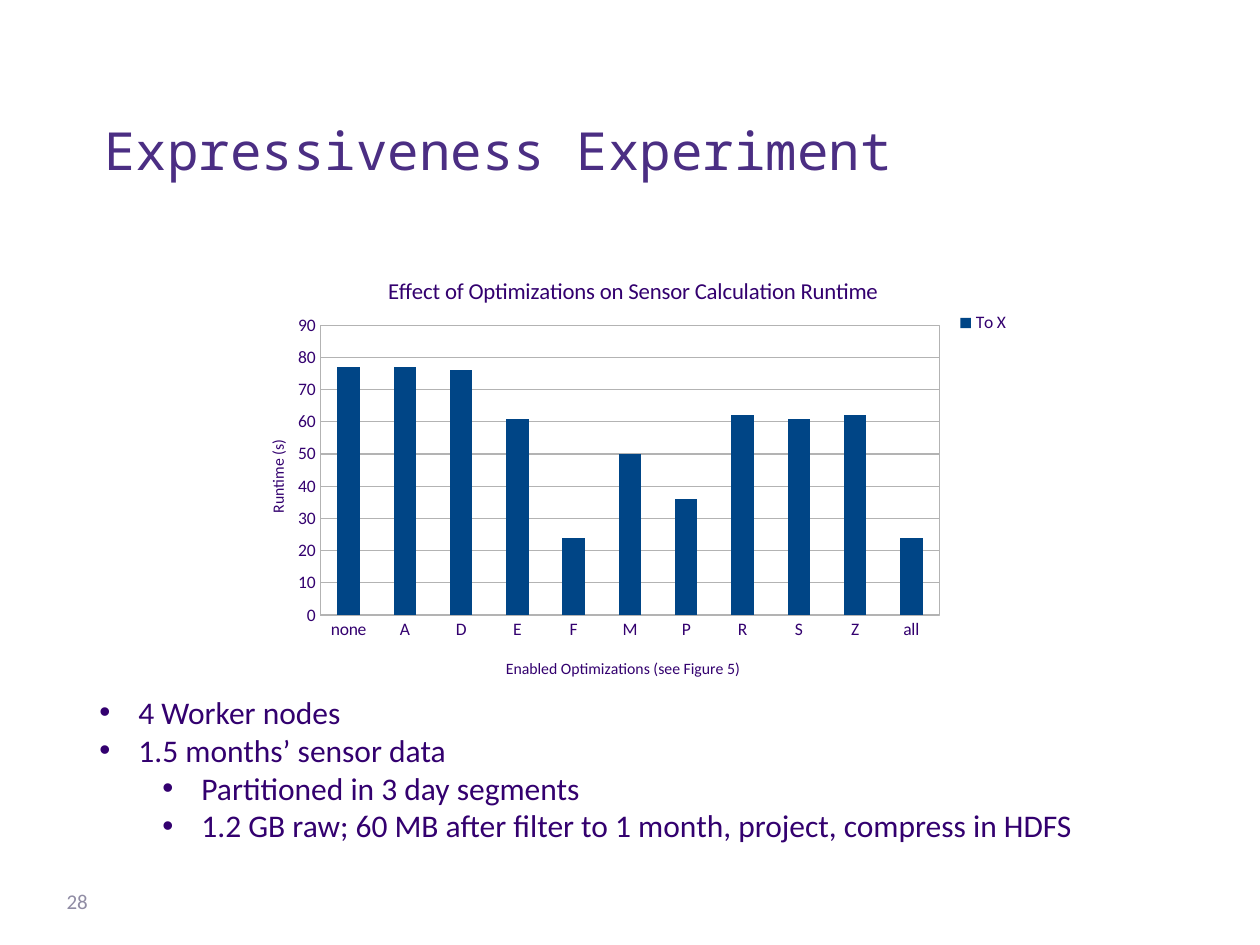
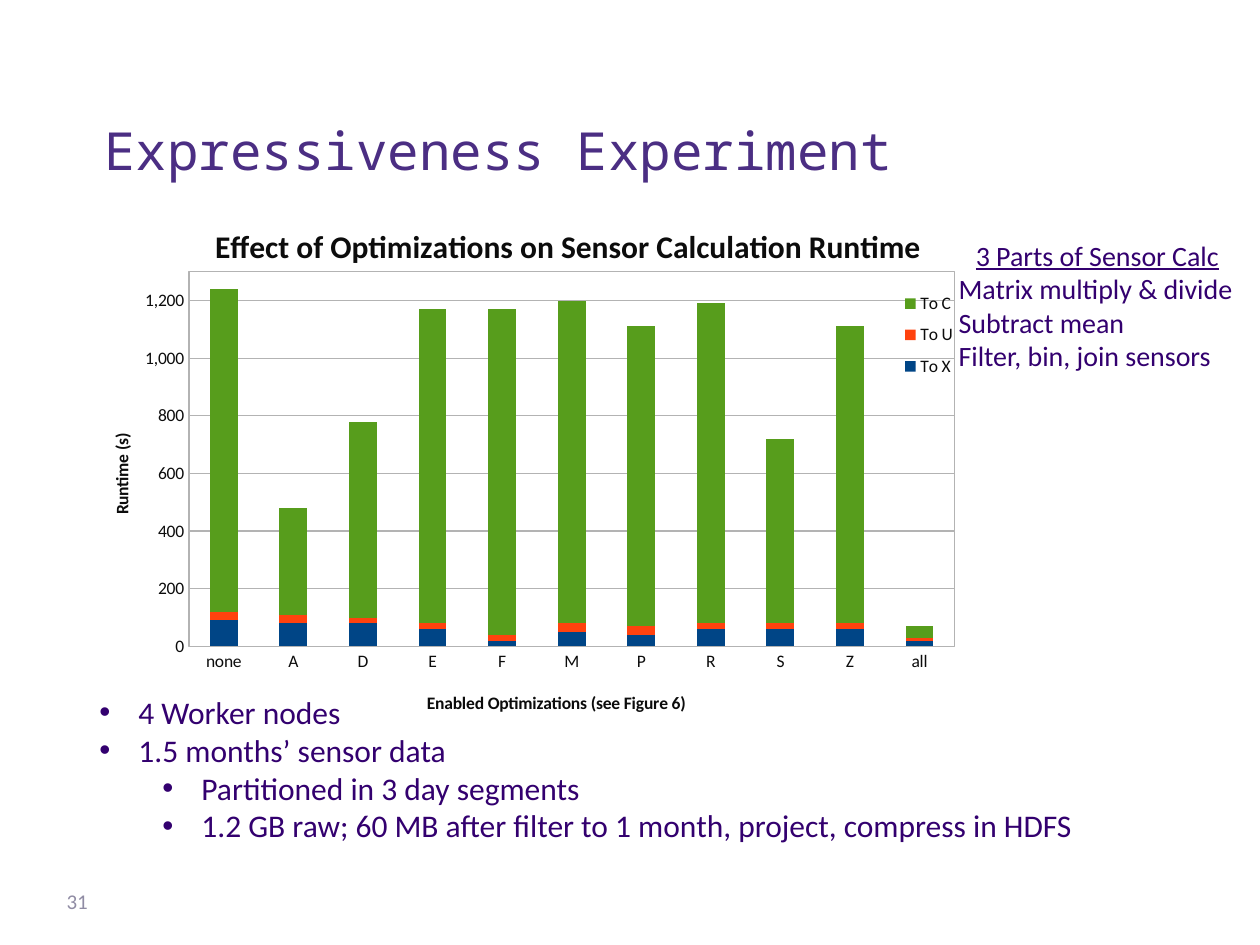
from dataclasses import dataclass
from lxml import etree
from pptx import Presentation
from pptx import util as u
from pptx.chart import data as cdata
from pptx.dml import color
from pptx.enum import chart as ch, text as tx
from pptx.oxml import ns


# Theme
@dataclass(frozen=True)
class Theme:
    ink: str = "33006F"
    head: str = "4B2E83"
    mute: str = "908CA4"
    black: str = "0C0C0C"
    rule: str = "B3B3B3"
    blue: str = "004586"
    red: str = "FF420E"
    green: str = "579D1C"
    sans: str = "Calibri"
    mono: str = "Noto Sans Mono"
    big: int = 30
    body: int = 18
    side: int = 16
    foot: int = 12
    axis: int = 10


T = Theme()

# Shared content
TITLE = "Expressiveness Experiment"
EFFECT = "Effect of Optimizations on Sensor Calculation Runtime"
CATS = ["none", "A", "D", "E", "F", "M", "P", "R", "S", "Z", "all"]
FACTS = [
    (0, "4 Worker nodes"),
    (0, "1.5 months’ sensor data"),
    (1, "Partitioned in 3 day segments"),
    (1, "1.2 GB raw; 60 MB after filter to 1 month, project, compress in HDFS"),
]


def rgb(code):
    return color.RGBColor.from_string(code)


def style(font, size, tone, face=T.sans, bold=False, under=False):
    font.size, font.name = u.Pt(size), face
    font.bold, font.underline = bold, under
    font.color.rgb = rgb(tone)


def write(para, words, align=tx.PP_ALIGN.LEFT, level=None, space=None, **form):
    """Fill one paragraph; a level makes it a bullet."""
    if level is not None:
        props = para._p.get_or_add_pPr()
        props.set("marL", str(u.Inches(0.31 + 0.5 * level)))
        props.set("indent", str(u.Inches(-0.31)))
        para.level = level
        etree.SubElement(props, ns.qn("a:buFont"), typeface="Arial")
        etree.SubElement(props, ns.qn("a:buChar"), char="•")
    para.alignment = align
    if space:
        para.line_spacing = space
    run = para.add_run()
    run.text = words
    style(run.font, **form)


def place(node, at, after=None, inner=False):
    """Give a chart part a fixed place, in fractions of the chart."""
    for old in node.findall(ns.qn("c:layout")):
        node.remove(old)
    layout = etree.Element(ns.qn("c:layout"))
    man = etree.SubElement(layout, ns.qn("c:manualLayout"))
    if inner:
        etree.SubElement(man, ns.qn("c:layoutTarget"), val="inner")
    for side in ("xMode", "yMode"):
        etree.SubElement(man, ns.qn("c:" + side), val="edge")
    for key, val in zip("xywh", at):
        etree.SubElement(man, ns.qn("c:" + key), val=str(val))
    if after:
        node.find(ns.qn(after)).addnext(layout)
    else:
        node.insert(0, layout)


def frame(plot):
    """Outline the plot area."""
    props = etree.SubElement(plot, ns.qn("c:spPr"))
    etree.SubElement(props, ns.qn("a:noFill"))
    line = etree.SubElement(props, ns.qn("a:ln"), w=str(u.Pt(0.75)))
    fill = etree.SubElement(line, ns.qn("a:solidFill"))
    etree.SubElement(fill, ns.qn("a:srgbClr"), val=T.rule)


class Deck:
    def __init__(self):
        self.show = Presentation()
        self.show.slide_width = u.Inches(10)
        self.show.slide_height = u.Inches(7.5)
        self.slide = None

    def start(self):
        self.slide = self.show.slides.add_slide(self.show.slide_layouts[6])

    def box(self, at, lines, anchor=tx.MSO_ANCHOR.TOP, wrap=True, **form):
        """Add a text box; each line is its words and its own format."""
        shape = self.slide.shapes.add_textbox(*map(u.Inches, at))
        area = shape.text_frame
        area.word_wrap, area.vertical_anchor = wrap, anchor
        for i, (words, own) in enumerate(lines):
            para = area.add_paragraph() if i else area.paragraphs[0]
            write(para, words, **{**form, **own})

    def common(self, num):
        """Add the title, the page number and the facts."""
        self.box((0.73, 0.41, 8.95, 1.08), [(TITLE, {})], tx.MSO_ANCHOR.BOTTOM,
                 size=T.big, tone=T.head, face=T.mono, space=0.9)
        self.box((0.43, 6.95, 2.25, 0.4), [(str(num), {})],
                 tx.MSO_ANCHOR.MIDDLE, size=T.foot, tone=T.mute)
        self.box((0.69, 5.45, 8.02, 1.31),
                 [(words, {"level": lev}) for lev, words in FACTS],
                 wrap=False, size=T.body, tone=T.ink)

    def bars(self, at, series, fig, top, step, tone, sizes, bold, spots):
        """Add a stacked column chart; spots holds the place of each part."""
        data = cdata.CategoryChartData(number_format="#,##0")
        data.categories = CATS
        for name, vals, _ in series:
            data.add_series(name, vals)
        chart = self.slide.shapes.add_chart(
            ch.XL_CHART_TYPE.COLUMN_STACKED, *map(u.Inches, at), data).chart
        style(chart.font, T.axis, tone)

        # Columns
        plot = chart.plots[0]
        plot.gap_width, plot.overlap = 150, 100
        plot.vary_by_categories = False
        for ser, (_, _, fill) in zip(plot.series, series):
            ser.format.fill.solid()
            ser.format.fill.fore_color.rgb = rgb(fill)

        # Axes
        cat, val = chart.category_axis, chart.value_axis
        val.minimum_scale, val.maximum_scale, val.major_unit = 0, top, step
        val.has_major_gridlines = True
        val.tick_labels.number_format = "#,##0"
        val.tick_labels.number_format_is_linked = False
        for part in (cat, val, val.major_gridlines):
            part.format.line.color.rgb = rgb(T.rule)
            part.format.line.width = u.Pt(0.75)
        for axis in (cat, val):
            axis.major_tick_mark = axis.minor_tick_mark = ch.XL_TICK_MARK.NONE
            style(axis.tick_labels.font, T.axis, tone)

        # Titles
        big, small = sizes
        for part, words, size, key in (
                (chart, EFFECT, big, "title"),
                (cat, f"Enabled Optimizations (see Figure {fig})", small, "cat"),
                (val, "Runtime (s)", small, "val")):
            head = part.chart_title if part is chart else part.axis_title
            write(head.text_frame.paragraphs[0], words, align=None,
                  size=size, tone=tone, bold=bold)
            place(head._element, spots[key], "c:tx")
        chart.chart_title.include_in_layout = False

        # Legend and plot area
        chart.has_legend = True
        chart.legend.position = ch.XL_LEGEND_POSITION.RIGHT
        chart.legend.include_in_layout = False
        style(chart.legend.font, T.axis, tone)
        place(chart.legend._element, spots["legend"], "c:legendPos")
        area = chart._chartSpace.chart.plotArea
        place(area, spots["plot"], inner=True)
        frame(area)


def main():
    deck = Deck()

    # Slide 28: first part only
    deck.start()
    deck.common(28)
    deck.bars((1.85, 1.98, 6.3, 3.54),
              [("To X", [77, 77, 76, 61, 24, 50, 36, 62, 61, 62, 24], T.blue)],
              fig=5, top=90, step=10, tone=T.ink, sizes=(13, 9), bold=False,
              spots={"title": (0.19, 0.05), "cat": (0.34, 0.91),
                     "val": (0.04, 0.42), "legend": (0.9, 0.13, 0.09, 0.07),
                     "plot": (0.11, 0.17, 0.78, 0.65)})

    # Slide 31: all three parts
    deck.start()
    deck.bars((0.69, 1.57, 8.1, 4.19),
              [("To X", [90, 80, 80, 60, 20, 50, 40, 60, 60, 60, 20], T.blue),
               ("To U", [30, 30, 20, 20, 20, 30, 30, 20, 20, 20, 10], T.red),
               ("To C", [1120, 370, 680, 1090, 1130, 1120, 1040, 1110, 640,
                         1030, 40], T.green)],
              fig=6, top=1300, step=200, tone=T.black, sizes=(18, 10), bold=True,
              spots={"title": (0.12, 0.04), "cat": (0.33, 0.93),
                     "val": (0.02, 0.44), "legend": (0.79, 0.16, 0.07, 0.2),
                     "plot": (0.1, 0.14, 0.75, 0.71)})
    deck.common(31)
    deck.box((7.51, 1.84, 2.4, 1.18),
             [("3 Parts of Sensor Calc",
               {"under": True, "align": tx.PP_ALIGN.CENTER}),
              ("Matrix multiply & divide", {}),
              ("Subtract mean", {}),
              ("Filter, bin, join sensors", {})],
             wrap=False, size=T.side, tone=T.ink)

    deck.show.save("out.pptx")


if __name__ == "__main__":
    main()
